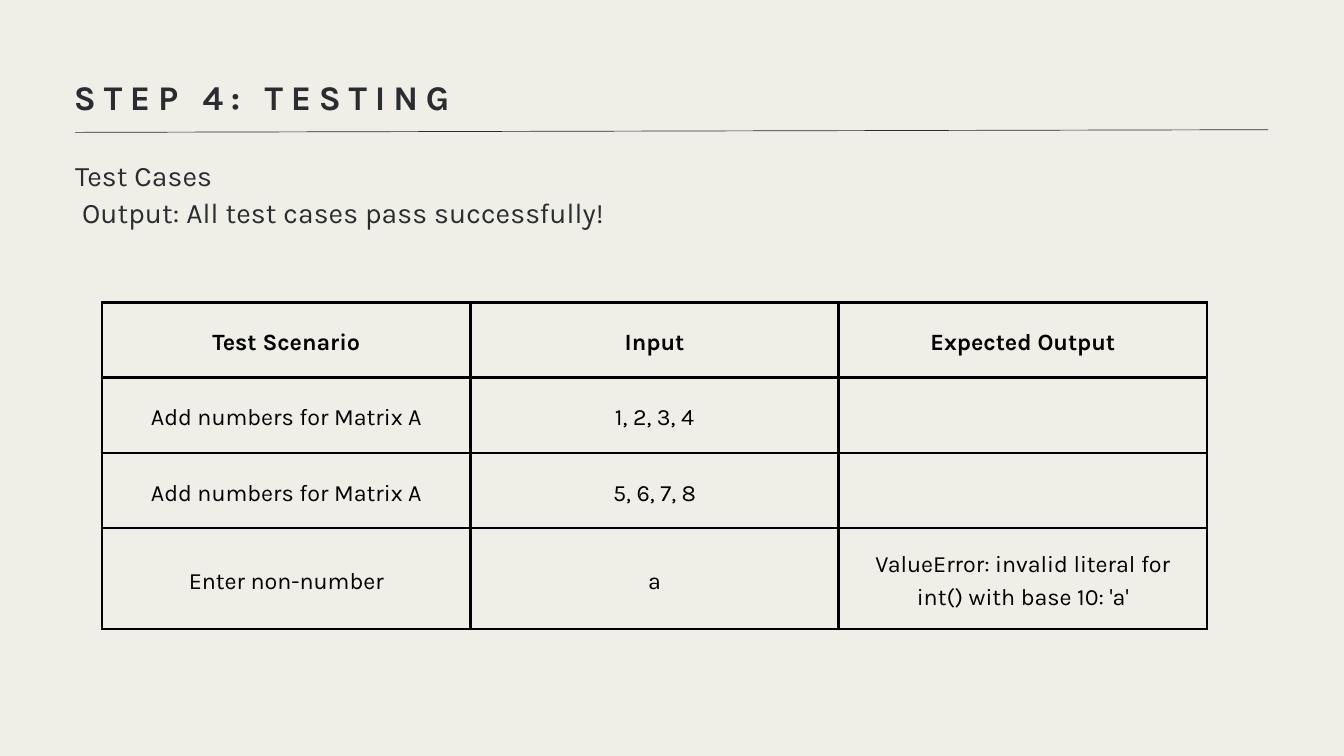
from lxml.etree import SubElement
from pptx import Presentation
from pptx.dml.color import RGBColor
from pptx.enum.shapes import MSO_CONNECTOR
from pptx.enum.text import MSO_ANCHOR, PP_ALIGN
from pptx.oxml.ns import qn
from pptx.util import Emu, Pt

PAPER = RGBColor(0xEF, 0xEE, 0xE7)
INK = RGBColor(0x2B, 0x2C, 0x30)
BLACK = RGBColor(0, 0, 0)
FONT = "Karla"
SCALE = 9144
CASES = [
    ("Test Scenario", "Input", "Expected Output"),
    ("Add numbers for Matrix A", "1, 2, 3, 4", ""),
    ("Add numbers for Matrix A", "5, 6, 7, 8", ""),
    ("Enter non-number", "a", "ValueError: invalid literal for int() with base 10: 'a'"),
]


def px(n):
    return Emu(n * SCALE)


def write(frame, text, size=25, color=BLACK, bold=False, lead=35, space=0, align=PP_ALIGN.LEFT):
    frame.word_wrap = True
    for i, line in enumerate(text.split("\n")):
        para = frame.add_paragraph() if i else frame.paragraphs[0]
        para.alignment = align
        para.line_spacing = Pt(lead)
        run = para.add_run()
        run.text = line
        font = run.font
        font.name, font.size, font.bold = FONT, Pt(size), bold
        font.color.rgb = color
        if space:
            run._r.get_or_add_rPr().set("spc", str(space))


class Page:
    """Draws styled elements on one slide."""

    def __init__(self, deck):
        self.slide = deck.slides.add_slide(deck.slide_layouts[6])
        self.shapes = self.slide.shapes
        fill = self.slide.background.fill
        fill.solid()
        fill.fore_color.rgb = PAPER

    def text(self, x, y, w, h, text, **style):
        frame = self.shapes.add_textbox(px(x), px(y), px(w), px(h)).text_frame
        frame.margin_left = frame.margin_right = 0
        frame.margin_top = frame.margin_bottom = 0
        write(frame, text, color=INK, **style)

    def rule(self, x1, y1, x2, y2):
        line = self.shapes.add_connector(MSO_CONNECTOR.STRAIGHT, px(x1), px(y1), px(x2), px(y2))
        line.line.color.rgb = INK
        line.line.width = Pt(0.75)
        SubElement(line._element.spPr, qn("a:effectLst"))

    def border(self, cell):
        props = cell._tc.get_or_add_tcPr()
        for i, side in enumerate(("lnL", "lnR", "lnT", "lnB")):
            edge = props.makeelement(qn(f"a:{side}"), {"w": str(Pt(3))})
            fill = SubElement(edge, qn("a:solidFill"))
            SubElement(fill, qn("a:srgbClr"), val=str(BLACK))
            props.insert(i, edge)

    def table(self, x, y, wide, highs, rows):
        cols = len(rows[0])
        frame = self.shapes.add_table(len(rows), cols, px(x), px(y), px(wide * cols), px(sum(highs)))
        grid = frame.table
        grid.first_row = grid.horz_banding = False
        for col in grid.columns:
            col.width = px(wide)
        for i, (row, high) in enumerate(zip(rows, highs)):
            grid.rows[i].height = px(high)
            for j, text in enumerate(row):
                cell = grid.cell(i, j)
                cell.fill.background()
                self.border(cell)
                cell.vertical_anchor = MSO_ANCHOR.MIDDLE
                cell.margin_left = cell.margin_right = px(21)
                cell.margin_top = cell.margin_bottom = px(21)
                if text:
                    write(cell.text_frame, text, bold=i == 0, align=PP_ALIGN.CENTER)


def main():
    deck = Presentation()
    deck.slide_width, deck.slide_height = px(2000), px(1125)
    page = Page(deck)
    page.rule(112, 197, 1887, 193)
    page.table(152, 450, 548, [112, 112, 112, 150], CASES)
    page.text(112, 232, 1183, 177, "Test Cases\n Output: All test cases pass successfully!",
              size=30.3, lead=39.4, space=10)
    page.text(110, 103, 1775, 71, "STEP 4: TESTING", size=37.1, bold=True, lead=52, space=840)
    deck.save("out.pptx")


if __name__ == "__main__":
    main()
